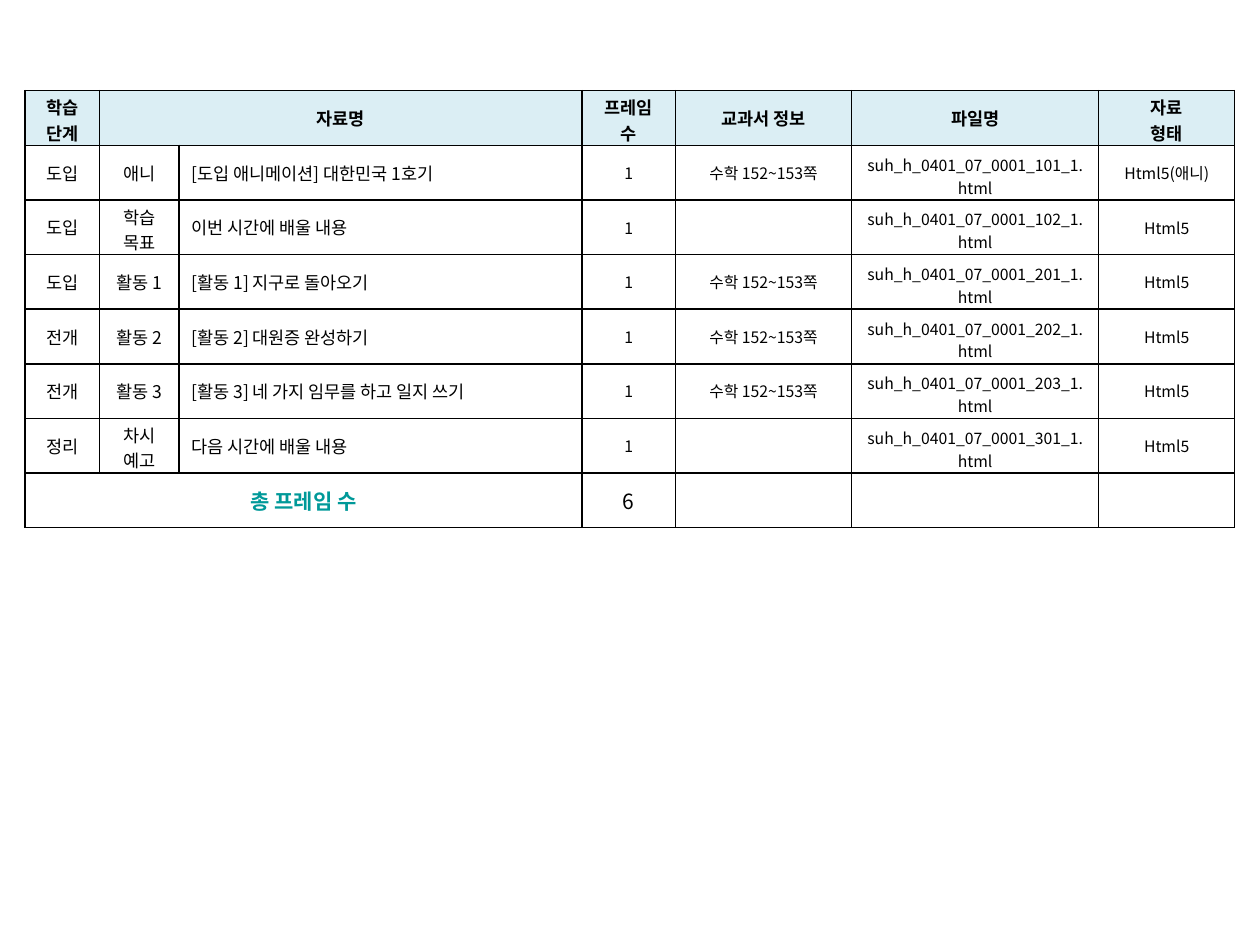
from lxml import etree
from pptx import Presentation
from pptx import util as u
from pptx.dml.color import RGBColor
from pptx.enum import text
from pptx.oxml.ns import qn

FONT = "Noto Sans CJK KR"
BLACK = RGBColor(0x00, 0x00, 0x00)
TEAL = RGBColor(0x00, 0x99, 0x99)
PALE_BLUE = RGBColor(0xDB, 0xEE, 0xF4)
COLUMN_WIDTHS = [0.59, 0.63, 3.2, 0.74, 1.4, 1.96, 1.08]
TABLE_HEIGHT = 3.47
TITLE_COLUMN = 2
FIRST_SMALL_COLUMN = 3
TEXTBOOK = "수학 152~153쪽"
HEADERS = ["학습 단계", "자료명", "", "프레임 수", "교과서 정보", "파일명", "자료\n형태"]
TWO_LINE_HEADERS = (0, 3, 6)
ACTIVITY_COLUMN = 1
FILE_COLUMN = 5
MATERIALS = [
    ("도입", "애니", "[도입 애니메이션] 대한민국 1호기", TEXTBOOK, "101", "Html5(애니)"),
    ("도입", "학습 목표", "이번 시간에 배울 내용", "", "102", "Html5"),
    ("도입", "활동 1", "[활동 1] 지구로 돌아오기", TEXTBOOK, "201", "Html5"),
    ("전개", "활동 2", "[활동 2] 대원증 완성하기", TEXTBOOK, "202", "Html5"),
    ("전개", "활동 3", "[활동 3] 네 가지 임무를 하고 일지 쓰기", TEXTBOOK, "203", "Html5"),
    ("정리", "차시 예고", "다음 시간에 배울 내용", "", "301", "Html5"),
]


def write_text(cell, content, size=10, bold=False, color=BLACK,
               align=text.PP_ALIGN.CENTER, two_lines=False):
    cell.vertical_anchor = text.MSO_ANCHOR.MIDDLE
    if two_lines:
        cell.margin_top = u.Inches(0.03 if size == 10 else 0.05)
        cell.margin_bottom = 0
    cell.text = content
    for paragraph in cell.text_frame.paragraphs:
        paragraph.alignment = align
        for run in paragraph.runs:
            run.font.size = u.Pt(size)
            run.font.bold = bold
            run.font.color.rgb = color
            run.font.name = FONT
            run.font._element.set("kern", "0")
            east_asian = etree.SubElement(run.font._element, qn("a:ea"))
            east_asian.set("typeface", FONT)
        if not content:
            end = etree.SubElement(paragraph._p, qn("a:endParaRPr"))
            end.set("sz", str(size * 100))


def style_cell(cell, fill=None):
    properties = cell._tc.get_or_add_tcPr()
    for side in ("a:lnL", "a:lnR", "a:lnT", "a:lnB"):
        line = etree.SubElement(properties, qn(side), w=str(u.Pt(1)))
        solid = etree.SubElement(line, qn("a:solidFill"))
        etree.SubElement(solid, qn("a:srgbClr"), val=str(BLACK))
    if fill is None:
        cell.fill.background()
    else:
        cell.fill.solid()
        cell.fill.fore_color.rgb = fill


def add_grid(slide, row_count):
    frame = slide.shapes.add_table(
        row_count, len(COLUMN_WIDTHS), u.Inches(0.2), u.Inches(0.72),
        u.Inches(sum(COLUMN_WIDTHS)), u.Inches(TABLE_HEIGHT))
    table = frame.table
    table.first_row = False
    table.horz_banding = False
    for column, width in zip(table.columns, COLUMN_WIDTHS):
        column.width = u.Inches(width)
    for row in table.rows:
        row.height = u.Inches(TABLE_HEIGHT / row_count)
    return table


def fill_header(table):
    for index, header in enumerate(HEADERS):
        cell = table.cell(0, index)
        write_text(cell, header, bold=True, two_lines=index in TWO_LINE_HEADERS)
        style_cell(cell, PALE_BLUE)
    table.cell(0, 1).merge(table.cell(0, 2))


def fill_material(row, material):
    stage, activity, title, textbook, number, kind = material
    file_name = f"suh_h_0401_07_0001_{number}_1.html"
    values = [stage, activity, title, "1", textbook, file_name, kind]
    for index, (cell, value) in enumerate(zip(row.cells, values)):
        is_title = index == TITLE_COLUMN
        write_text(cell, value, size=9 if index >= FIRST_SMALL_COLUMN else 10,
                   align=text.PP_ALIGN.LEFT if is_title else text.PP_ALIGN.CENTER,
                   two_lines=index == FILE_COLUMN
                   or (index == ACTIVITY_COLUMN and len(value) == 5))
        style_cell(cell)


def fill_total(table, row_index):
    values = ["총 프레임 수", "", "", str(len(MATERIALS)), "", "", ""]
    for index, value in enumerate(values):
        cell = table.cell(row_index, index)
        is_label = index == 0
        write_text(cell, value, size=12, bold=is_label,
                   color=TEAL if is_label else BLACK)
        style_cell(cell)
    table.cell(row_index, 0).merge(table.cell(row_index, 2))


def main():
    presentation = Presentation()
    presentation.slide_width = u.Inches(10)
    presentation.slide_height = u.Inches(7.5)
    slide = presentation.slides.add_slide(presentation.slide_layouts[6])
    table = add_grid(slide, len(MATERIALS) + 2)
    fill_header(table)
    for index, material in enumerate(MATERIALS, start=1):
        fill_material(table.rows[index], material)
    fill_total(table, len(MATERIALS) + 1)
    presentation.save("out.pptx")


if __name__ == "__main__":
    main()
